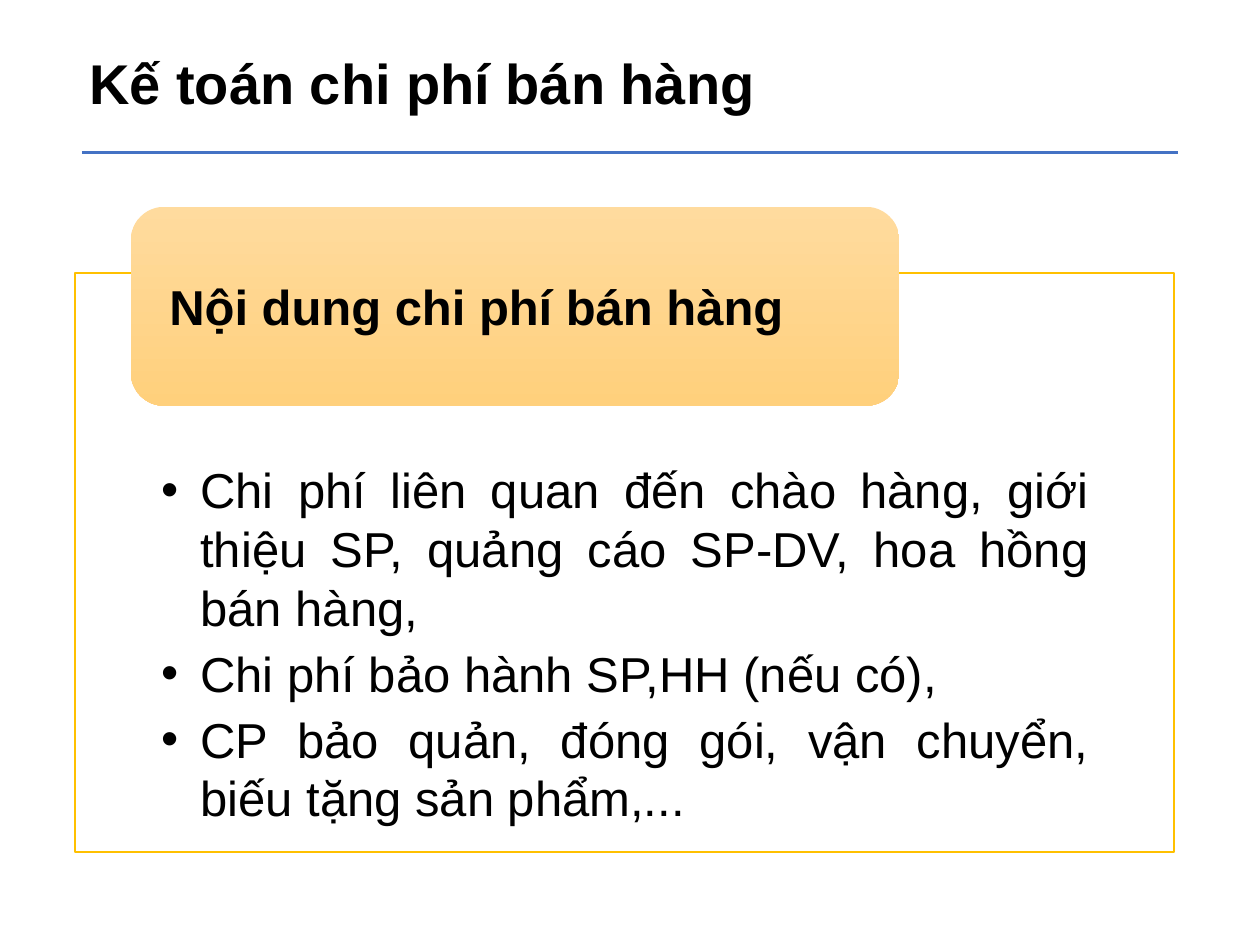
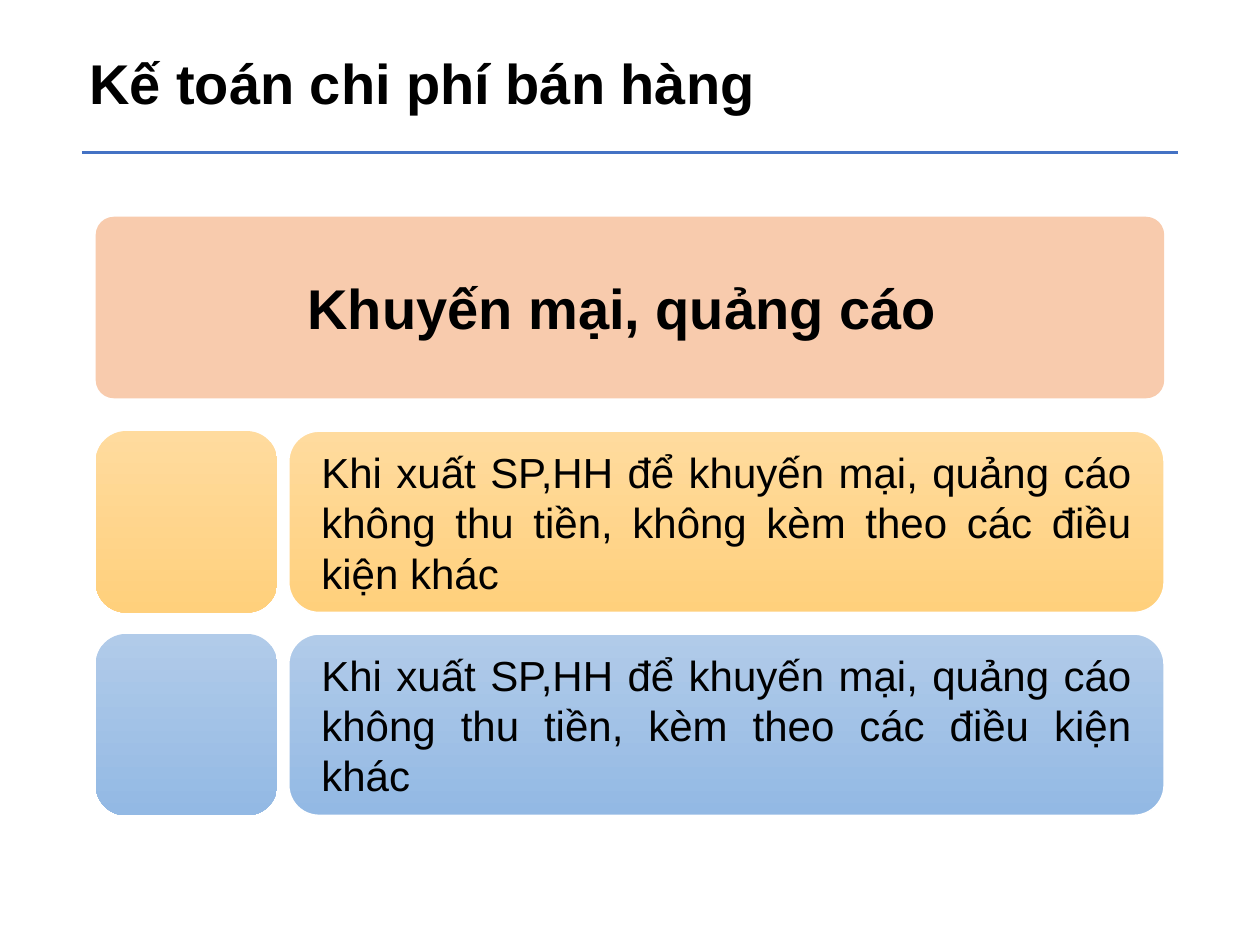
"""Two slides on accounting for selling expenses."""
from lxml import etree
from pptx import Presentation
from pptx.dml.color import RGBColor
from pptx.enum.shapes import MSO_CONNECTOR, MSO_SHAPE
from pptx.enum.text import MSO_ANCHOR, PP_ALIGN
from pptx.oxml.ns import qn
from pptx.util import Cm, Pt

RECT, ROUND = MSO_SHAPE.RECTANGLE, MSO_SHAPE.ROUNDED_RECTANGLE
STRAIGHT = MSO_CONNECTOR.STRAIGHT
TOP, MIDDLE = MSO_ANCHOR.TOP, MSO_ANCHOR.MIDDLE
LEFT, CENTER, JUSTIFY = PP_ALIGN.LEFT, PP_ALIGN.CENTER, PP_ALIGN.JUSTIFY

FONT = "Arial"
COLORS = {"text": "000000", "white": "FFFFFF", "rule": "4472C4",
          "frame": "FFC000", "banner": "F8CBAD"}
GRADIENTS = {"gold": ("FFDB9E", "FFD07C"), "blue": ("B1CBE9", "93B9E4")}

TITLE = "Kế toán chi phí bán hàng"
HEADING = "Nội dung chi phí bán hàng"
COSTS = [
    "Chi phí liên quan đến chào hàng, giới thiệu SP, quảng cáo SP-DV, hoa hồng bán hàng,",
    "Chi phí bảo hành SP,HH (nếu có), ",
    "CP bảo quản, đóng gói, vận chuyển, biếu tặng sản phẩm,...",
]
BANNER = "Khuyến mại, quảng cáo "
CASES = [
    ("gold", "Khi xuất SP,HH để khuyến mại, quảng cáo không thu tiền, "
             "không kèm theo các điều kiện khác"),
    ("blue", "Khi xuất SP,HH để khuyến mại, quảng cáo không thu tiền, "
             "kèm theo các điều kiện khác"),
]


def rgb(name):
    return RGBColor.from_string(COLORS[name])


def set_indent(p, margin, first):
    pPr = p._p.get_or_add_pPr()
    pPr.set("marL", str(Cm(margin)))
    pPr.set("indent", str(Cm(first)))
    return pPr


def add_bullet(p):
    pPr = set_indent(p, 0.79, -0.79)
    etree.SubElement(pPr, qn("a:buFont"), typeface=FONT)
    etree.SubElement(pPr, qn("a:buChar"), char="•")


def write(shape, texts, size, bold=False, align=LEFT, anchor=MIDDLE,
          insets=(0.25, 0.13, 0.25, 0.13), bullets=False):
    tf = shape.text_frame
    tf.word_wrap = True
    tf.vertical_anchor = anchor
    tf.margin_left, tf.margin_top, tf.margin_right, tf.margin_bottom = map(Cm, insets)
    for i, text in enumerate(texts):
        p = tf.paragraphs[0] if i == 0 else tf.add_paragraph()
        p.alignment = align
        if bullets:
            p.space_after = Pt(4)
            add_bullet(p)
        r = p.add_run()
        r.text = text
        r.font.name, r.font.size, r.font.bold = FONT, Pt(size), bold
        r.font.color.rgb = rgb("text")


def add_panel(s, kind, box, fill, line=None, corner=None):
    sp = s.shapes.add_shape(kind, *map(Cm, box))
    sp.shadow.inherit = False
    if corner:
        sp.adjustments[0] = corner
    if fill in GRADIENTS:
        sp.fill.gradient()
        sp.fill.gradient_angle = 270
        for stop, color, position in zip(sp.fill.gradient_stops, GRADIENTS[fill], (0, 1)):
            stop.color.rgb = RGBColor.from_string(color)
            stop.position = position
    else:
        sp.fill.solid()
        sp.fill.fore_color.rgb = rgb(fill)
    if line:
        sp.line.color.rgb = rgb(line)
        sp.line.width = Pt(1)
    else:
        sp.line.fill.background()
    return sp


def add_titled_slide(prs):
    s = prs.slides.add_slide(prs.slide_layouts[6])
    rule = s.shapes.add_connector(STRAIGHT, Cm(1.65), Cm(3.07), Cm(23.75), Cm(3.07))
    rule.line.color.rgb = rgb("rule")
    rule.line.width = Pt(1.5)
    etree.SubElement(rule._element.spPr, qn("a:effectLst"))
    title = s.shapes.add_textbox(Cm(0.28), Cm(0.84), Cm(15.7), Cm(1.63))
    write(title, [TITLE], 32, bold=True, anchor=TOP)
    set_indent(title.text_frame.paragraphs[0], 0, 1.27)
    return s


def build_contents(prs):
    s = add_titled_slide(prs)
    frame = add_panel(s, RECT, (1.52, 5.51, 22.15, 11.66), "white", "frame")
    write(frame, COSTS, 28, align=JUSTIFY, anchor=TOP,
          insets=(1.73, 3.76, 1.73, 0.56), bullets=True)
    heading = add_panel(s, ROUND, (2.64, 4.17, 15.49, 4.01), "gold")
    write(heading, [HEADING], 28, bold=True, insets=(0.58, 0, 0.58, 0))


def build_promotion(prs):
    s = add_titled_slide(prs)
    left, width, height, gap = 1.93, 21.54, 3.66, 0.23
    banner = add_panel(s, ROUND, (left, 4.37, width, height), "banner", corner=0.1)
    write(banner, [BANNER], 32, bold=True, align=CENTER, insets=(0.18, 0.1, 0.18, 0.1))
    for i, (color, text) in enumerate(CASES):
        top = 8.69 + i * 4.09
        add_panel(s, ROUND, (left, top, height, height), color, corner=0.167)
        offset = height + gap
        case = add_panel(s, ROUND, (left + offset, top, width - offset, height),
                         color, "white", 0.167)
        write(case, [text], 24, align=JUSTIFY, insets=(0.48,) * 4)


def main():
    prs = Presentation()
    prs.slide_width, prs.slide_height = Cm(25.4), Cm(19.05)
    build_contents(prs)
    build_promotion(prs)
    prs.save("out.pptx")


if __name__ == "__main__":
    main()
